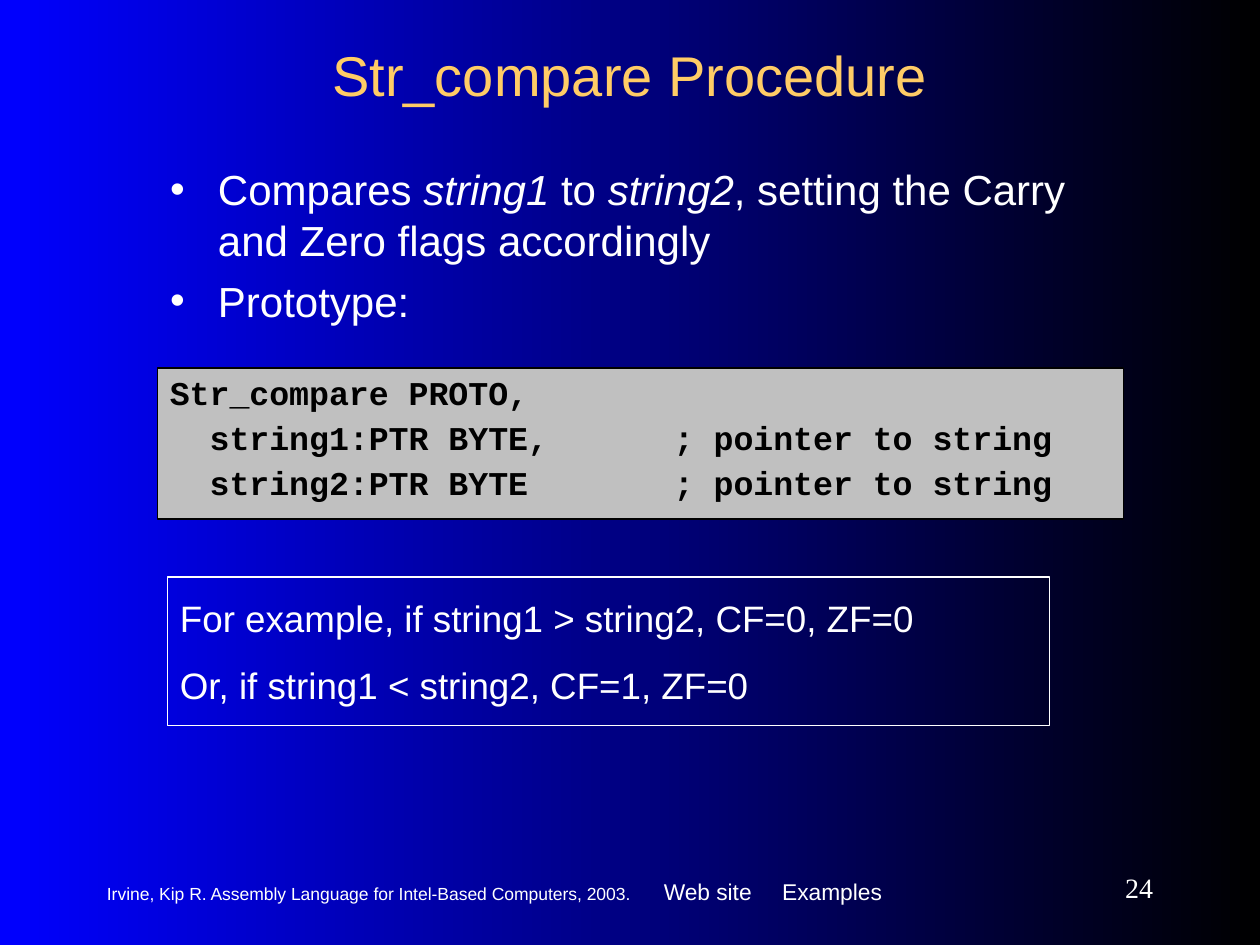
import dataclasses

import lxml.etree
import pptx
import pptx.dml.color
import pptx.enum.shapes
import pptx.enum.text
import pptx.oxml.ns
import pptx.util

Inches = pptx.util.Inches
Pt = pptx.util.Pt
Align = pptx.enum.text.PP_ALIGN
Anchor = pptx.enum.text.MSO_ANCHOR


@dataclasses.dataclass(frozen=True)
class Theme:
    sans: str = "Arial"
    serif: str = "Times New Roman"
    mono: str = "Courier New"
    background_start: str = "0000FF"
    background_end: str = "000000"
    title: str = "FFCC66"
    text: str = "FFFFFF"
    code_text: str = "000000"
    code_fill: str = "C0C0C0"
    title_size: float = 32
    body_size: float = 24
    example_size: float = 21
    code_size: float = 19
    number_size: float = 16
    link_size: float = 13
    footer_size: float = 10


def rgb(value):
    return pptx.dml.color.RGBColor.from_string(value)


def add_xml(parent, tag, **attributes):
    return lxml.etree.SubElement(parent, pptx.oxml.ns.qn(tag), attributes)


class SlideBuilder:
    def __init__(self, presentation, theme):
        self.theme = theme
        self.slide = presentation.slides.add_slide(presentation.slide_layouts[1])

    def background(self):
        fill = self.slide.background.fill
        fill.gradient()
        fill.gradient_angle = 0
        colors = (self.theme.background_start, self.theme.background_end)
        for stop, color, position in zip(fill.gradient_stops, colors, (0, 1)):
            stop.color.rgb = rgb(color)
            stop.position = position

    def place(self, shape, box):
        shape.left, shape.top, shape.width, shape.height = map(Inches, box)

    def set_text(self, shape, lines, size, font=None, color=None, bold=False,
                 align=Align.LEFT, anchor=Anchor.TOP, inset=0.05,
                 before=0, spacing=None, tab=None):
        """Fill a shape with paragraphs, each a list of (text, italic) runs."""
        frame = shape.text_frame
        frame.word_wrap = True
        frame.auto_size = pptx.enum.text.MSO_AUTO_SIZE.NONE
        frame.vertical_anchor = anchor
        frame.margin_left = frame.margin_right = Inches(0.1)
        frame.margin_top = frame.margin_bottom = Inches(inset)
        for index, runs in enumerate(lines):
            paragraph = frame.add_paragraph() if index else frame.paragraphs[0]
            paragraph.alignment = align
            paragraph.space_before = Pt(before)
            if spacing:
                paragraph.line_spacing = spacing
            if tab:
                tabs = add_xml(paragraph._p.get_or_add_pPr(), "a:tabLst")
                add_xml(tabs, "a:tab", pos=str(Inches(tab)), algn="l")
            for text, italic in runs:
                run = paragraph.add_run()
                run.text = text
                run.font.name = font or self.theme.sans
                run.font.size = Pt(size)
                run.font.color.rgb = rgb(color or self.theme.text)
                run.font.bold = bold
                run.font.italic = italic

    def title(self, text, box):
        shape = self.slide.shapes.title
        self.place(shape, box)
        self.set_text(shape, [[(text, False)]], self.theme.title_size,
                      color=self.theme.title, align=Align.CENTER, anchor=Anchor.MIDDLE)

    def bullets(self, lines, box):
        shape = self.slide.placeholders[1]
        self.place(shape, box)
        self.set_text(shape, lines, self.theme.body_size, before=6)
        for paragraph in shape.text_frame.paragraphs:
            properties = paragraph._p.get_or_add_pPr()
            properties.set("marL", str(Inches(0.38)))
            properties.set("indent", str(Inches(-0.38)))
            bullet_color = add_xml(properties, "a:buClr")
            add_xml(bullet_color, "a:srgbClr", val=self.theme.text)
            add_xml(properties, "a:buChar", char="•")

    def label(self, text, box, size, **style):
        shape = self.slide.shapes.add_textbox(*map(Inches, box))
        self.set_text(shape, [[(text, False)]], size, **style)

    def panel(self, lines, box, size, line, fill=None, **style):
        shape = self.slide.shapes.add_shape(
            pptx.enum.shapes.MSO_SHAPE.RECTANGLE, *map(Inches, box))
        shape.shadow.inherit = False
        if fill:
            shape.fill.solid()
            shape.fill.fore_color.rgb = rgb(fill)
        else:
            shape.fill.background()
        shape.line.color.rgb = rgb(line)
        shape.line.width = Pt(0.75)
        self.set_text(shape, [[(text, False)] for text in lines], size,
                      inset=0.15, **style)


def main():
    theme = Theme()
    presentation = pptx.Presentation()
    presentation.slide_width = Inches(10)
    presentation.slide_height = Inches(7.5)

    builder = SlideBuilder(presentation, theme)
    builder.background()
    builder.title("Str_compare Procedure", (0.75, 0.25, 8.5, 0.67))
    builder.bullets([
        [("Compares ", False), ("string1", True), (" to ", False),
         ("string2", True), (", setting the Carry and Zero flags accordingly", False)],
        [("Prototype:", False)],
    ], (1.25, 1.25, 7.58, 2.75))
    builder.panel([
        "For example, if string1 > string2, CF=0, ZF=0",
        "Or, if string1 < string2, CF=1, ZF=0",
    ], (1.33, 4.58, 7, 1.18), theme.example_size, line=theme.text, before=13.1)
    builder.panel([
        "Str_compare PROTO,",
        "  string1:PTR BYTE,\t; pointer to string",
        "  string2:PTR BYTE\t; pointer to string",
    ], (1.25, 2.92, 7.67, 1.2), theme.code_size, line=theme.code_text,
        fill=theme.code_fill, font=theme.mono, color=theme.code_text,
        bold=True, before=11.9, spacing=0.6, tab=4)

    builder.label("Web site\tExamples", (5.17, 6.82, 3, 0.52), theme.link_size,
                  inset=0.15, before=8.1, tab=0.94)
    builder.label("Irvine, Kip R. Assembly Language for Intel-Based Computers, 2003.",
                  (0.75, 6.93, 4.42, 0.33), theme.footer_size, anchor=Anchor.MIDDLE)
    builder.label("24", (8.17, 6.83, 1.08, 0.42), theme.number_size,
                  font=theme.serif, align=Align.RIGHT, anchor=Anchor.MIDDLE)
    presentation.save("out.pptx")


if __name__ == "__main__":
    main()
